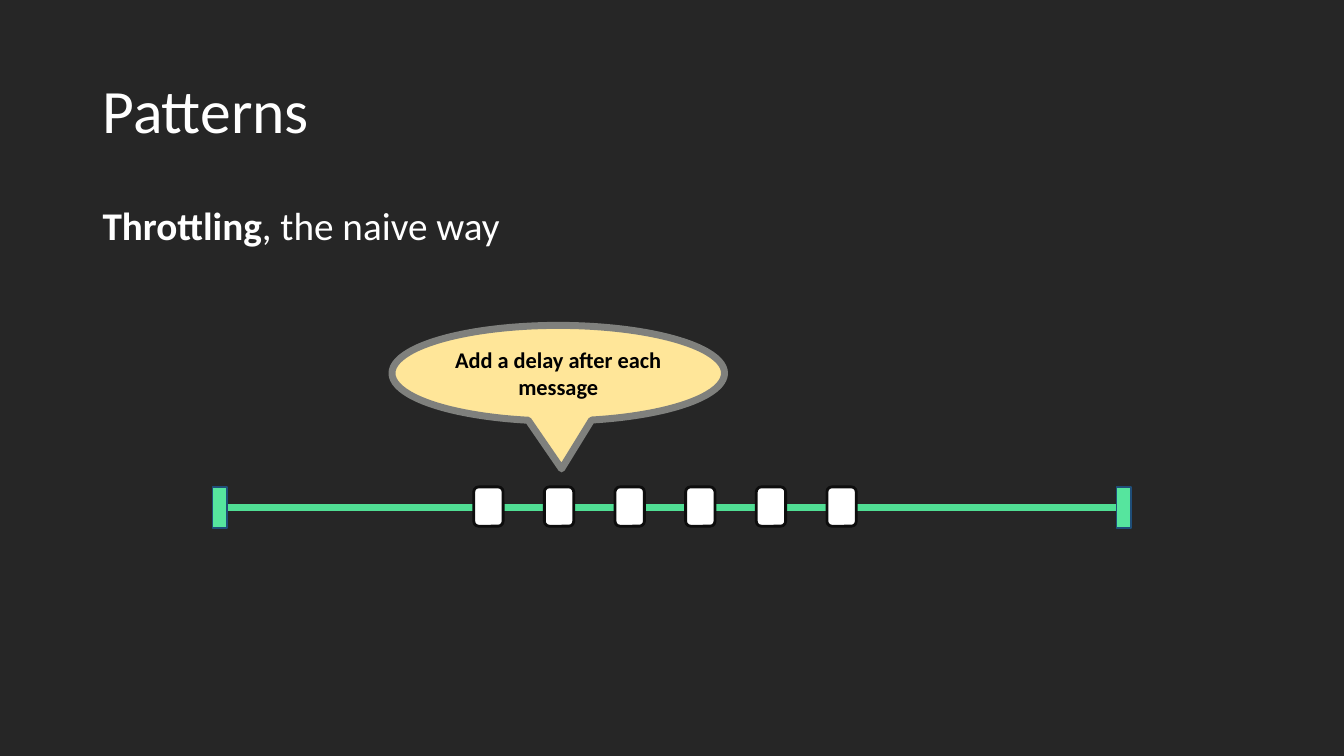
from lxml.etree import SubElement
from pptx import Presentation
from pptx.dml.color import RGBColor
from pptx.enum.shapes import MSO_CONNECTOR, MSO_SHAPE
from pptx.enum.text import MSO_ANCHOR, PP_ALIGN
from pptx.oxml.ns import qn
from pptx.util import Cm, Pt


def rgb(value):
    """Turn a hex string into a colour."""
    return RGBColor.from_string(value)


class Deck:
    """Hold the style and the current slide."""

    font = "Calibri"
    background = "262626"
    light = "FFFFFF"

    def __init__(self, prs):
        """Add a title and content slide with a dark background."""
        self.s = prs.slides.add_slide(prs.slide_layouts[1])
        fill = self.s.background.fill
        fill.solid()
        fill.fore_color.rgb = rgb(self.background)

    def add_runs(self, p, runs, size, color):
        """Add (text, bold) runs to a paragraph."""
        for text, bold in runs:
            r = p.add_run()
            r.text = text
            r.font.name = self.font
            r.font.size = Pt(size)
            r.font.bold = bold
            r.font.color.rgb = rgb(color)

    def placeholder(self, sp, box, runs, size, anchor):
        """Move a placeholder and fill it with one unbulleted paragraph."""
        sp.left, sp.top, sp.width, sp.height = map(Cm, box)
        tf = sp.text_frame
        tf.word_wrap = True
        tf.vertical_anchor = anchor
        p = tf.paragraphs[0]
        p.alignment = PP_ALIGN.LEFT
        p.line_spacing = 0.9
        p.space_before = Pt(0)
        pPr = p._p.get_or_add_pPr()
        pPr.set("marL", "0")
        pPr.set("indent", "0")
        SubElement(pPr, qn("a:buNone"))
        self.add_runs(p, runs, size, self.light)

    def group(self):
        """Add an empty group and return its shapes."""
        return self.s.shapes.add_group_shape().shapes

    def shape(self, shapes, kind, box, fill, line, width):
        """Add a filled and outlined preset shape."""
        sp = shapes.add_shape(kind, *map(Cm, box))
        sp.shadow.inherit = False
        sp.fill.solid()
        sp.fill.fore_color.rgb = rgb(fill)
        sp.line.color.rgb = rgb(line)
        sp.line.width = Pt(width)
        return sp

    def line(self, shapes, start, end, color, width):
        """Add a straight line."""
        sp = shapes.add_connector(MSO_CONNECTOR.STRAIGHT, *map(Cm, start + end))
        sp.line.color.rgb = rgb(color)
        sp.line.width = Pt(width)
        SubElement(sp._element.spPr, qn("a:effectLst"))

    def callout(self, box, tip, text):
        """Add an oval speech bubble with centred text."""
        sp = self.shape(self.s.shapes, MSO_SHAPE.OVAL_CALLOUT, box, "FFE699", "7F807D", 5)
        sp.adjustments[0], sp.adjustments[1] = tip
        tf = sp.text_frame
        tf.word_wrap = True
        tf.vertical_anchor = MSO_ANCHOR.MIDDLE
        p = tf.paragraphs[0]
        p.alignment = PP_ALIGN.CENTER
        self.add_runs(p, [(text, True)], 16, "000000")


def main():
    """Build the throttling slide."""
    prs = Presentation()
    prs.slide_width, prs.slide_height = Cm(33.87), Cm(19.05)
    deck = Deck(prs)
    title, body = deck.s.placeholders
    deck.placeholder(title, (2.33, 1.01, 29.21, 3.68), [("Patterns", False)], 44, MSO_ANCHOR.MIDDLE)
    deck.placeholder(body, (2.33, 5.08, 29.21, 12.09),
                     [("Throttling", True), (", the naive way", False)], 28, MSO_ANCHOR.TOP)

    top, end_width, left, right = 12.27, 0.36, 5.72, 28.14
    channel = deck.group()
    deck.line(channel, (left, 12.78), (right, 12.78), "50DE94", 5)
    for x in (left - end_width, right):
        deck.shape(channel, MSO_SHAPE.RECTANGLE, (x, top, end_width, 1.04), "56E59E", "1F4E79", 1)

    messages = deck.group()
    for i in range(6):
        deck.shape(messages, MSO_SHAPE.ROUNDED_RECTANGLE,
                   (11.94 + i * 1.78, top, 0.74, 0.99), "FFFFFF", "0D0D0D", 2)

    deck.callout((9.88, 8.2, 8.38, 2.41), (0.01, 1), "Add a delay after each message")
    prs.save("out.pptx")


if __name__ == "__main__":
    main()
